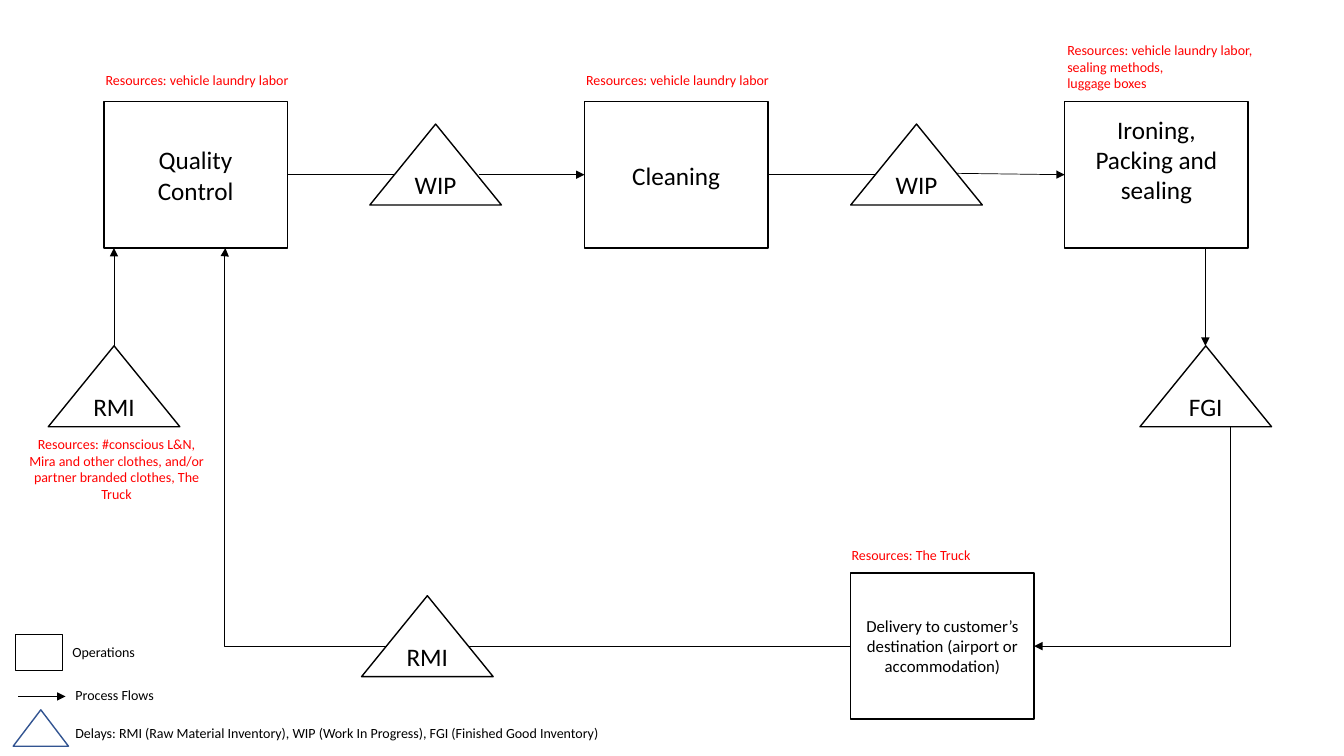
from lxml import etree
from pptx import Presentation
from pptx.dml.color import RGBColor
from pptx.enum.shapes import MSO_CONNECTOR as LINK, MSO_SHAPE as FORM
from pptx.enum.text import MSO_ANCHOR as ANCHOR, MSO_AUTO_SIZE as FIT, PP_ALIGN as ALIGN
from pptx.oxml.ns import qn
from pptx.util import Pt

HUES = {"ink": "000000", "paper": "FFFFFF", "note": "FF0000", "delay": "325491"}
ROW = 72.7            # top of the upper boxes
BOX_W, BOX_H = 131, 104.5
TRI_W, TRI_H = 94, 57.8
MID = 124.8           # height of the upper flow
LOW = 461.5           # height of the return flow

deck = Presentation()
deck.slide_width, deck.slide_height = Pt(960), Pt(540)
slide = deck.slides.add_slide(deck.slide_layouts[6])
shapes = slide.shapes


def write(frame, lines, size, hue="ink", align=ALIGN.LEFT):
    for i, line in enumerate(lines):
        para = frame.paragraphs[0] if i == 0 else frame.add_paragraph()
        para.alignment = align
        run = para.add_run()
        run.text = line
        run.font.name, run.font.size = "Calibri", Pt(size)
        run.font.color.rgb = RGBColor.from_string(HUES[hue])


def draw(form, left, top, width, height, hue="ink"):
    shape = shapes.add_shape(form, Pt(left), Pt(top), Pt(width), Pt(height))
    shape.shadow.inherit = False
    shape.fill.solid()
    shape.fill.fore_color.rgb = RGBColor.from_string(HUES["paper"])
    shape.line.color.rgb = RGBColor.from_string(HUES[hue])
    shape.line.width = Pt(1)
    return shape


# Process flows: kind, start, end, arrowhead
FLOWS = [
    (LINK.STRAIGHT, 81.4, 247, 81.4, 177.2, True),
    (LINK.STRAIGHT, 205.2, MID, 282.2, MID, False),
    (LINK.STRAIGHT, 342, MID, 417.5, MID, True),
    (LINK.STRAIGHT, 548.5, MID, 625, MID, False),
    (LINK.STRAIGHT, 682, 123.8, 760.5, MID, True),
    (LINK.STRAIGHT, 861, 177.2, 861, 247, True),
    (LINK.STRAIGHT, 13, 497.5, 46.8, 497.5, True),
    (LINK.ELBOW, 607.7, LOW, 161, 177.2, True),
    (LINK.ELBOW, 730.6, 313.1, 887.1, 453.4, True),
]
for kind, x1, y1, x2, y2, arrow in FLOWS:
    flow = shapes.add_connector(kind, Pt(x1), Pt(y1), Pt(x2), Pt(y2))
    flow.line.color.rgb = RGBColor.from_string(HUES["ink"])
    flow.line.width = Pt(0.5)
    if arrow:
        etree.SubElement(flow.line._get_or_add_ln(), qn("a:tailEnd"), type="triangle")
    etree.SubElement(flow._element.spPr, qn("a:effectLst"))
    if kind == LINK.ELBOW:
        geom = flow._element.spPr.find(qn("a:prstGeom"))
        if x2 < x1:
            # Return flow: turn at the far end
            guides = geom.find(qn("a:avLst"))
            if guides is None:
                guides = etree.SubElement(geom, qn("a:avLst"))
            etree.SubElement(guides, qn("a:gd"), name="adj1", fmla="val 100100")
        else:
            # Delivery flow: a single bend, down and then left
            geom.set("prst", "bentConnector2")
            flow._element.spPr.find(qn("a:xfrm")).set("rot", "5400000")

# Delays
for name, left, top in [("WIP", 264.2, 88.6), ("WIP", 607.7, 88.6), ("FGI", 814.3, 247),
                        ("RMI", 34.5, 247), ("RMI", 258.3, 425.5)]:
    delay = draw(FORM.FLOWCHART_EXTRACT, left, top, TRI_W, TRI_H)
    frame = delay.text_frame
    frame.margin_left = frame.margin_right = 0
    frame.word_wrap = False
    frame.vertical_anchor = ANCHOR.MIDDLE
    write(frame, [name], 18, align=ALIGN.CENTER)

# Operations: lines, left, top, text size, bottom margin
STEPS = [
    (["Quality", "Control"], 74.2, ROW, 18, 3.6),
    (["Cleaning"], 417.5, ROW, 18, 3.6),
    (["Ironing,", "Packing and sealing"], 760.5, ROW, 18, 25.6),
    (["Delivery to customer’s destination (airport or accommodation)"], 607.7, 409.2, 12, 3.6),
]
for lines, left, top, size, gap in STEPS:
    step = draw(FORM.RECTANGLE, left, top, BOX_W, BOX_H)
    frame = step.text_frame
    frame.word_wrap = True
    frame.margin_bottom = Pt(gap)
    frame.vertical_anchor = ANCHOR.MIDDLE
    write(frame, lines, size, align=ALIGN.CENTER)

# Legend keys
draw(FORM.FLOWCHART_PROCESS, 11, 453, 33.6, 26)
draw(FORM.FLOWCHART_EXTRACT, 9.4, 507, 39.5, 26, "delay").fill.background()

# Resource notes and legend labels
LABOR = "Resources: vehicle laundry labor"
NOTES = [
    ([LABOR], 68.4, 47.8, 147, 19.4, "note"),
    ([LABOR], 411.6, 47.8, 147, 19.4, "note"),
    ([LABOR + ",", "sealing methods,", "luggage boxes"], 755.3, 26, 152, 43.6, "note"),
    (["Resources: The Truck"], 601.2, 386.8, 101.5, 19.4, "note"),
    (["Operations"], 44.6, 456, 60, 19.4, "ink"),
    (["Process Flows"], 46.8, 486.8, 71.3, 19.4, "ink"),
    (["Delays: RMI (Raw Material Inventory), WIP (Work In Progress), FGI (Finished Good Inventory)"],
     46.8, 514, 393.8, 19.4, "ink"),
    (["Resources: #conscious L&N, Mira and other clothes, and/or partner branded clothes, The Truck"],
     13, 307.4, 140.4, 55.7, "note"),
]
for lines, left, top, width, height, hue in NOTES:
    note = shapes.add_textbox(Pt(left), Pt(top), Pt(width), Pt(height))
    frame = note.text_frame
    wraps = height > 50   # only the clothes note wraps
    frame.word_wrap = wraps
    frame.auto_size = FIT.SHAPE_TO_FIT_TEXT
    write(frame, lines, 10, hue, ALIGN.CENTER if wraps else ALIGN.LEFT)

deck.save("out.pptx")
